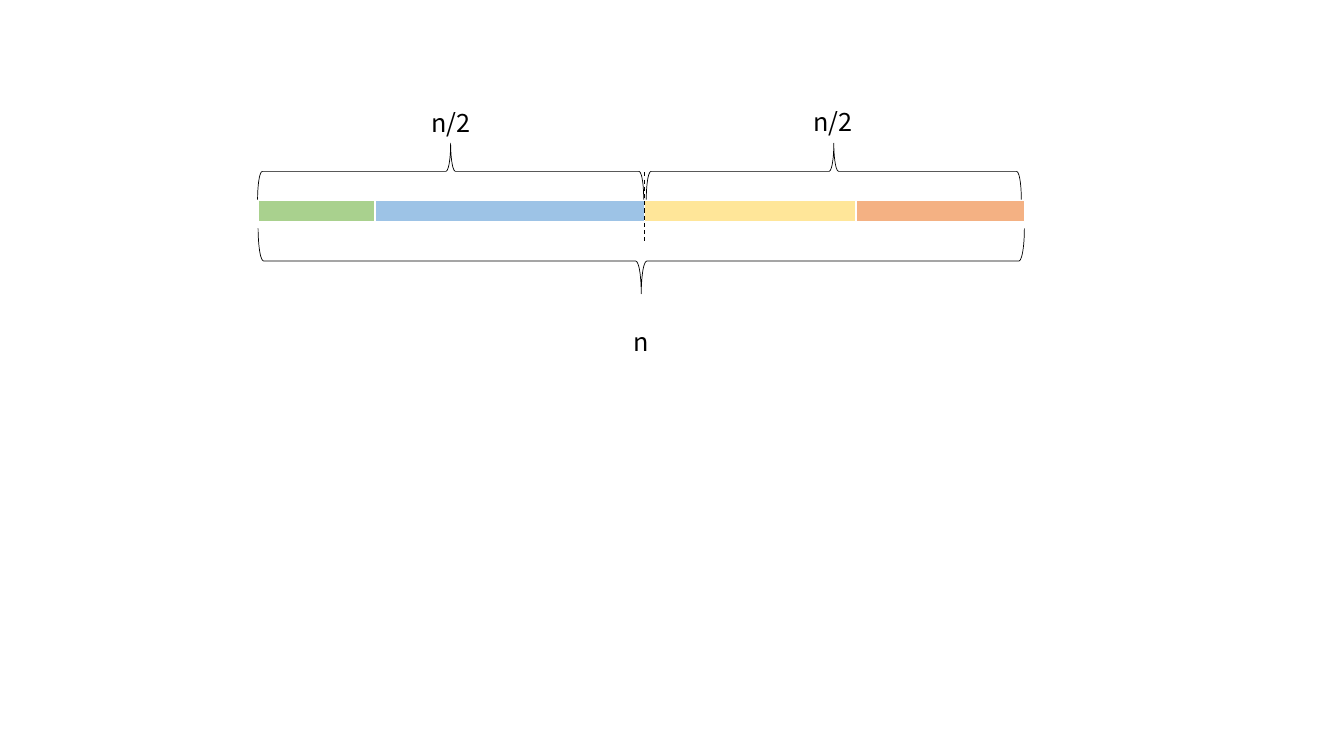
from itertools import pairwise

from lxml.etree import SubElement
from pptx import Presentation
from pptx.dml.color import RGBColor
from pptx.enum.dml import MSO_LINE_DASH_STYLE as DASH
from pptx.enum.shapes import MSO_CONNECTOR as CONNECTOR, MSO_SHAPE as SHAPE
from pptx.enum.text import MSO_AUTO_SIZE as AUTO_SIZE
from pptx.oxml.ns import qn
from pptx.util import Inches, Pt

BLACK = RGBColor(0x00, 0x00, 0x00)
WHITE = RGBColor(0xFF, 0xFF, 0xFF)
GREEN = RGBColor(0xA9, 0xD1, 0x8E)
BLUE = RGBColor(0x9D, 0xC3, 0xE6)
YELLOW = RGBColor(0xFF, 0xE6, 0x99)
ORANGE = RGBColor(0xF4, 0xB1, 0x83)

LABEL_FORMAT = {"name": "Noto Sans CJK KR", "size": Pt(18)}
MIDDLE = 6.39
SEGMENT_EDGES = [2.56, 3.72, MIDDLE, 8.49, 10.16]

deck = Presentation()
deck.slide_width, deck.slide_height = Inches(13.33), Inches(7.5)
page = deck.slides.add_slide(deck.slide_layouts[6])


def add_outlined(kind, left, top, width, height, color, weight):
    """Add a shadowless preset shape with a solid outline and no fill."""
    shape = page.shapes.add_shape(
        kind, Inches(left), Inches(top), Inches(width), Inches(height))
    shape.shadow.inherit = False
    shape.fill.background()
    shape.line.color.rgb = color
    shape.line.width = Pt(weight)
    return shape


# Coloured segments of the array
for (start, end), color in zip(pairwise(SEGMENT_EDGES), [GREEN, BLUE, YELLOW, ORANGE]):
    segment = add_outlined(SHAPE.RECTANGLE, start, 1.99, end - start, 0.21, WHITE, 1)
    segment.fill.solid()
    segment.fill.fore_color.rgb = color

# Dashed line between the halves
divider = page.shapes.add_connector(
    CONNECTOR.STRAIGHT, Inches(MIDDLE), Inches(1.71), Inches(MIDDLE), Inches(2.4))
divider.line.color.rgb = BLACK
divider.line.width = Pt(0.75)
divider.line.dash_style = DASH.DASH
SubElement(divider.element.spPr, qn("a:effectLst"))

# Braces: centre x, centre y, depth, span, rotation
for center_x, center_y, depth, span, rotation in [
    (6.36, 2.59, 0.65, 7.6, 90),
    (4.47, 1.7, 0.56, 3.83, 270),
    (8.27, 1.7, 0.56, 3.72, 270),
]:
    brace = add_outlined(SHAPE.RIGHT_BRACE, center_x - depth / 2, center_y - span / 2,
                         depth, span, BLACK, 0.5)
    brace.rotation = rotation

# Length labels
for text, left, top, width in [
    ("n", 6.18, 3.19, 0.35),
    ("n/2", 4.18, 1.02, 0.59),
    ("n/2", 7.97, 1.01, 0.59),
]:
    box = page.shapes.add_textbox(Inches(left), Inches(top), Inches(width), Inches(0.4))
    box.text_frame.word_wrap = False
    box.text_frame.auto_size = AUTO_SIZE.SHAPE_TO_FIT_TEXT
    span = box.text_frame.paragraphs[0].add_run()
    span.text = text
    for key, value in LABEL_FORMAT.items():
        setattr(span.font, key, value)
    span.font.color.rgb = BLACK

deck.save("out.pptx")
